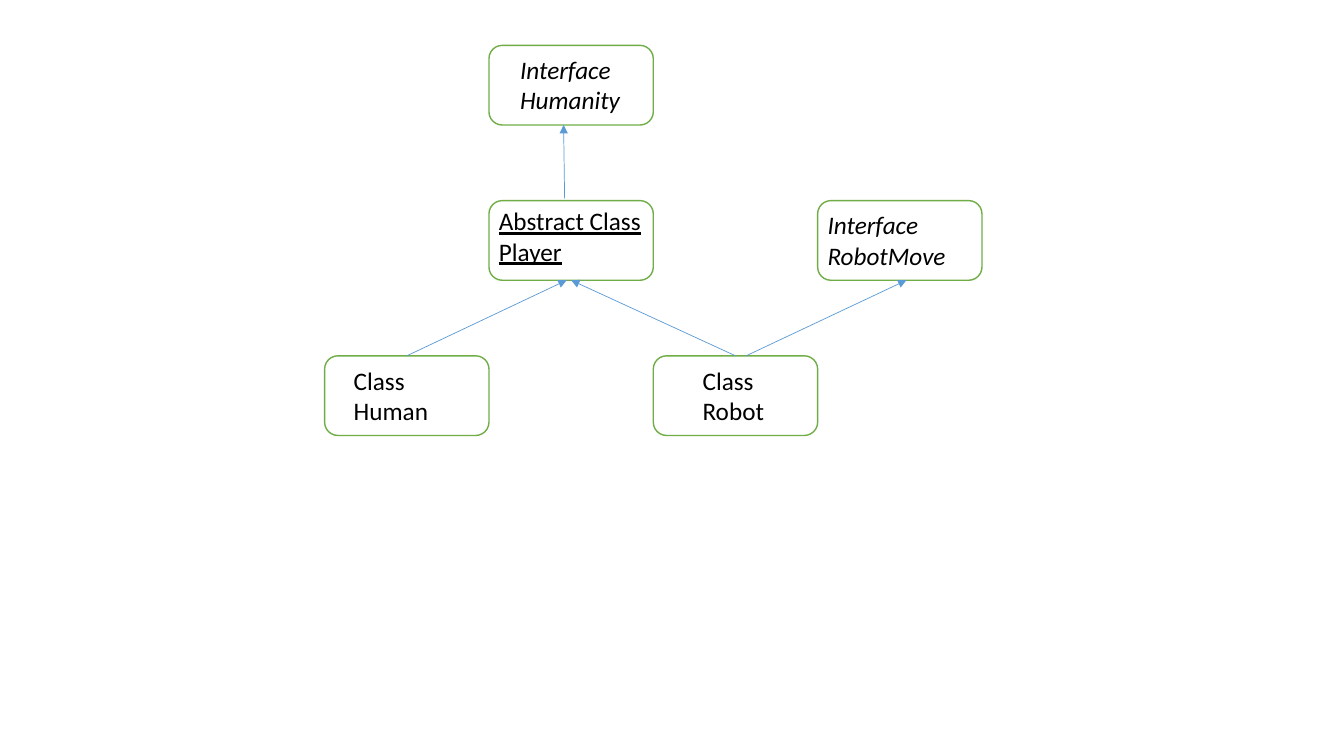
from dataclasses import dataclass

from lxml.etree import SubElement
from pptx import Presentation
from pptx.dml.color import RGBColor
from pptx.enum.shapes import MSO_CONNECTOR, MSO_SHAPE
from pptx.enum.text import MSO_AUTO_SIZE
from pptx.oxml.ns import qn
from pptx.util import Pt

PX = 9144
BOX_WIDTH, BOX_HEIGHT = 163, 79
LABEL_HEIGHT = 71
FIRST_LEFT, FIRST_TOP = 322, 45
ROW_STEP = 154
TOP, BOTTOM = 0, 2


@dataclass(frozen=True)
class Theme:
    font: str = "Calibri"
    text_size: Pt = Pt(18)
    box_line: Pt = Pt(1)
    arrow_line: Pt = Pt(0.5)
    text: RGBColor = RGBColor(0, 0, 0)
    fill: RGBColor = RGBColor(255, 255, 255)
    border: RGBColor = RGBColor(0x70, 0xAD, 0x47)
    arrow: RGBColor = RGBColor(0x5B, 0x9B, 0xD5)


THEME = Theme()


def px(*lengths):
    return [length * PX for length in lengths]


def add_label(group, text, left, top, width, italic, underline):
    label = group.shapes.add_textbox(*px(left, top, width, LABEL_HEIGHT))
    frame = label.text_frame
    frame.word_wrap = True
    frame.auto_size = MSO_AUTO_SIZE.SHAPE_TO_FIT_TEXT
    frame.text = text
    for para in frame.paragraphs:
        for span in para.runs:
            span.font.name = THEME.font
            span.font.size = THEME.text_size
            span.font.color.rgb = THEME.text
            span.font.italic = italic
            span.font.underline = underline


def add_type(page, column, row, text, inset=0, drop=4, width=BOX_WIDTH,
             italic=None, underline=None):
    left = FIRST_LEFT + column * BOX_WIDTH
    top = FIRST_TOP + row * ROW_STEP
    group = page.shapes.add_group_shape()
    box = group.shapes.add_shape(MSO_SHAPE.FLOWCHART_ALTERNATE_PROCESS,
                                 *px(left, top, BOX_WIDTH, BOX_HEIGHT))
    box.shadow.inherit = False
    box.fill.solid()
    box.fill.fore_color.rgb = THEME.fill
    box.line.color.rgb = THEME.border
    box.line.width = THEME.box_line
    add_label(group, text, left + inset, top + drop, width, italic, underline)
    return box


def add_arrow(page, parent, child, parent_box=None, child_box=None):
    arrow = page.shapes.add_connector(MSO_CONNECTOR.STRAIGHT, *px(*parent, *child))
    arrow.line.color.rgb = THEME.arrow
    arrow.line.width = THEME.arrow_line
    SubElement(arrow.line._get_or_add_ln(), qn("a:headEnd"), type="triangle")
    SubElement(arrow._element.spPr, qn("a:effectLst"))
    if parent_box is not None:
        arrow.begin_connect(parent_box, BOTTOM)
    if child_box is not None:
        arrow.end_connect(child_box, TOP)


def main():
    deck = Presentation()
    deck.slide_width, deck.slide_height = px(1333, 750)
    page = deck.slides.add_slide(deck.slide_layouts[6])

    player = add_type(page, 1, 1, "Abstract Class\nPlayer", drop=0, underline=True)
    human = add_type(page, 0, 2, "Class Human", inset=19, width=124)
    robot = add_type(page, 2, 2, "Class\nRobot", inset=39, width=85)
    add_type(page, 1, 0, "Interface\nHumanity", inset=21, width=157, italic=True)
    add_type(page, 3, 1, "Interface\nRobotMove", italic=True)

    add_arrow(page, (559, 124), (560, 197))
    add_arrow(page, (562, 278), (404, 353), child_box=human)
    add_arrow(page, (567, 278), (730, 353), parent_box=player, child_box=robot)
    add_arrow(page, (899, 278), (740, 353))

    deck.save("out.pptx")


if __name__ == "__main__":
    main()
